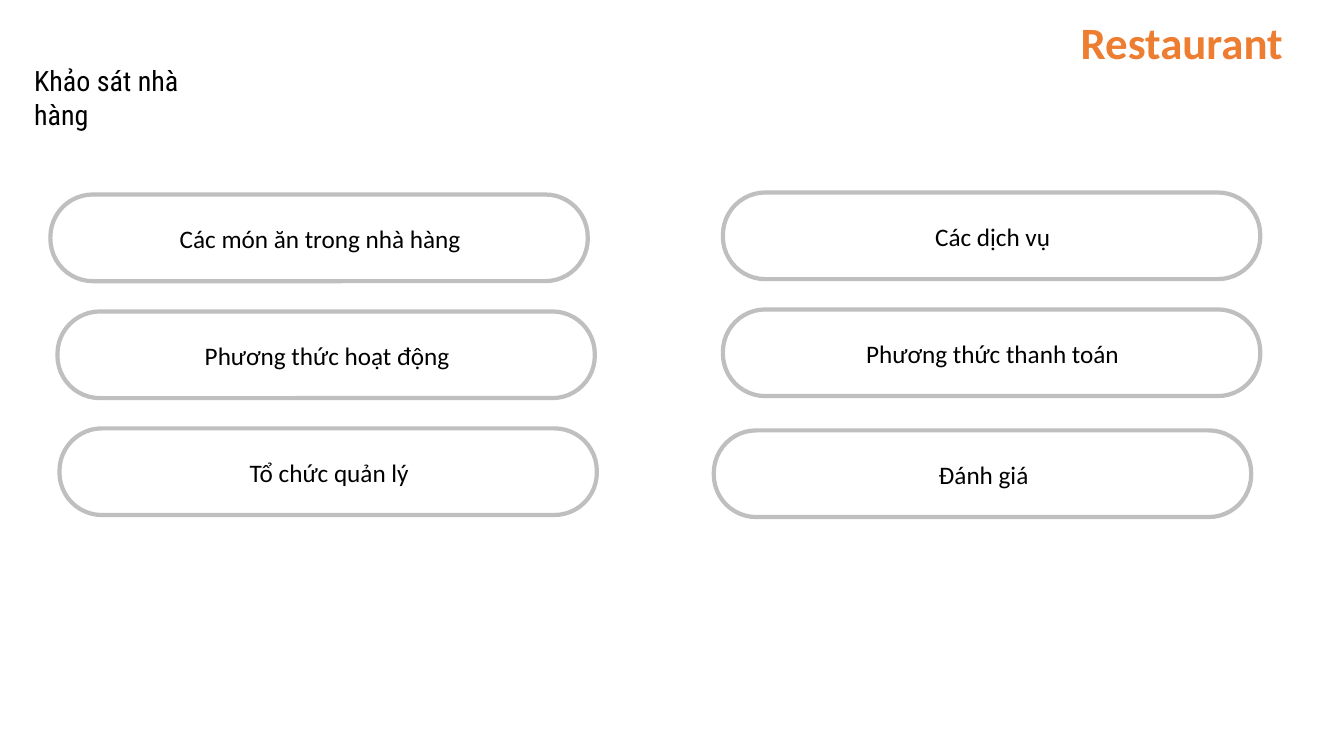
from pptx import Presentation
from pptx.dml.color import RGBColor
from pptx.enum.shapes import MSO_SHAPE
from pptx.enum.text import MSO_AUTO_SIZE, PP_ALIGN
from pptx.util import Inches, Pt

COLORS = {"brand": "ED7D31", "text": "000000", "outline": "BFBFBF"}

TOPICS = [
    ("Đánh giá", 7.08, 4.27),
    ("Phương thức thanh toán", 7.17, 3.07),
    ("Các dịch vụ", 7.17, 1.91),
    ("Các món ăn trong nhà hàng", 0.5, 1.93),
    ("Phương thức hoạt động", 0.57, 3.09),
    ("Tổ chức quản lý", 0.59, 4.25),
]


def add_text(shapes, text, left, top, width, height, size,
             font="Calibri", color="text", bold=False, align=PP_ALIGN.LEFT):
    box = shapes.add_textbox(Inches(left), Inches(top), Inches(width), Inches(height))
    frame = box.text_frame
    frame.word_wrap = True
    frame.auto_size = MSO_AUTO_SIZE.SHAPE_TO_FIT_TEXT
    frame.text = text
    para = frame.paragraphs[0]
    para.alignment = align
    span = para.runs[0]
    span.font.name = font
    span.font.size = Pt(size)
    span.font.bold = bold
    span.font.color.rgb = RGBColor.from_string(COLORS[color])


deck = Presentation()
deck.slide_width = Inches(13.33)
deck.slide_height = Inches(7.5)
page = deck.slides.add_slide(deck.slide_layouts[6])

add_text(page.shapes, "Restaurant", 10.62, 0.1, 2.97, 0.64, 32, color="brand", bold=True)
add_text(page.shapes, "Khảo sát nhà hàng", 0.24, 0.58, 1.98, 0.44, 20, font="Roboto Condensed")

for topic, left, top in TOPICS:
    group = page.shapes.add_group_shape()
    pill = group.shapes.add_shape(
        MSO_SHAPE.ROUNDED_RECTANGLE, Inches(left), Inches(top), Inches(5.33), Inches(0.86))
    pill.adjustments[0] = 0.49
    pill.shadow.inherit = False
    pill.fill.background()
    pill.line.color.rgb = RGBColor.from_string(COLORS["outline"])
    pill.line.width = Pt(3)
    add_text(group.shapes, topic, left + 0.43, top + 0.24, 4.49, 0.4, 18, align=PP_ALIGN.CENTER)

deck.save("out.pptx")
